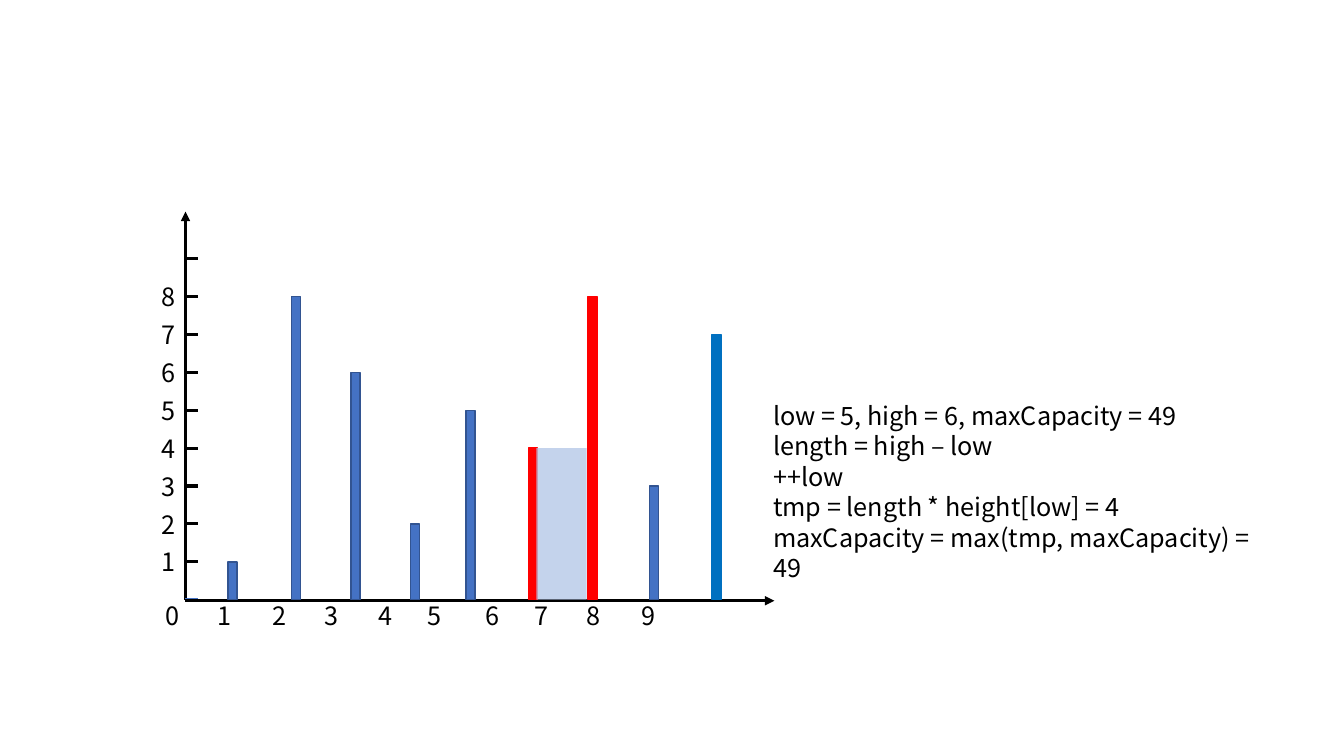
"""Build the two-pointer container slide: a hand-drawn bar diagram beside its trace."""
from lxml import etree
from pptx import Presentation
from pptx.dml.color import RGBColor
from pptx.enum import shapes, text
from pptx.oxml import ns
from pptx.util import Inches, Pt

BLACK = RGBColor(0x00, 0x00, 0x00)
BLUE = RGBColor(0x44, 0x72, 0xC4)
NAVY = RGBColor(0x32, 0x54, 0x91)
RED = RGBColor(0xFF, 0x00, 0x00)
BRIGHT = RGBColor(0x00, 0x70, 0xC0)
WATER = RGBColor(0xB4, 0xC7, 0xE7)
FONT = "Noto Sans CJK SC"

TRACE = [
    "low = 5, high = 6, maxCapacity = 49",
    "length = high – low",
    "++low",
    "tmp = length * height[low] = 4",
    "maxCapacity = max(tmp, maxCapacity) = 49",
]
BARS = [
    (2.26, 1, BLUE, NAVY),
    (2.89, 8, BLUE, NAVY),
    (3.48, 6, BLUE, NAVY),
    (4.07, 2, BLUE, NAVY),
    (4.62, 5, BLUE, NAVY),
    (5.24, 4, RED, RED),
    (5.83, 8, RED, RED),
    (6.44, 3, BLUE, NAVY),
    (7.06, 7, BRIGHT, BRIGHT),
]
INDEX_TABS = [0.52, 1.06, 1.58, 2.12, 2.6, 3.18, 3.66, 4.18, 4.72]
WATER_LEFT, WATER_WIDTH, WATER_LEVEL = 5.32, 0.5, 4
AXIS_X, BASE, UNIT = 1.84, 5.95, 0.376
BAR_WIDTH, TICK = 0.09, 0.12

deck = Presentation()
deck.slide_width, deck.slide_height = Inches(13.33), Inches(7.5)
slide = deck.slides.add_slide(deck.slide_layouts[6])


def level(value):
    return BASE - value * UNIT


def add_line(x1, y1, x2, y2, color=BLACK, arrow=False):
    line = slide.shapes.add_connector(
        shapes.MSO_CONNECTOR.STRAIGHT, Inches(x1), Inches(y1), Inches(x2), Inches(y2))
    line.line.color.rgb = color
    line.line.width = Pt(2.25)
    if arrow:
        etree.SubElement(line.line._get_or_add_ln(), ns.qn("a:tailEnd"), type="triangle")
    etree.SubElement(line._element.spPr, ns.qn("a:effectLst"))


def add_bar(left, width, value, fill, outline=None):
    bar = slide.shapes.add_shape(
        shapes.MSO_SHAPE.RECTANGLE, Inches(left), Inches(level(value)),
        Inches(width), Inches(value * UNIT))
    bar.shadow.inherit = False
    bar.fill.solid()
    bar.fill.fore_color.rgb = fill
    if outline is None:
        bar.line.fill.background()
    else:
        bar.line.color.rgb = outline
        bar.line.width = Pt(1)
    return bar


def add_text(left, top, width, height, lines):
    frame = slide.shapes.add_textbox(
        Inches(left), Inches(top), Inches(width), Inches(height)).text_frame
    frame.word_wrap = True
    frame.auto_size = text.MSO_AUTO_SIZE.NONE
    frame.text = "\n".join(lines)
    for paragraph in frame.paragraphs:
        paragraph.line_spacing = Pt(21.7)
        for run in paragraph.runs:
            run.font.name = FONT
            run.font.size = Pt(18)
            run.font.color.rgb = BLACK
    return frame


add_line(AXIS_X, BASE, AXIS_X, 2.1, arrow=True)
for value in range(10):
    add_line(AXIS_X, level(value), AXIS_X + TICK, level(value), BLACK if value else BLUE)
add_line(AXIS_X, BASE + 0.01, 7.68, BASE + 0.01, arrow=True)

indices = add_text(1.54, 5.91, 5.98, 0.4, ["\t".join(str(i) for i in range(10))])
tabs = etree.SubElement(indices.paragraphs[0]._p.get_or_add_pPr(), ns.qn("a:tabLst"))
for offset in INDEX_TABS:
    etree.SubElement(tabs, ns.qn("a:tab"), pos=str(Inches(offset)), algn="l")
for value in range(1, 9):
    add_text(1.5, level(value) - 0.2, 0.35, 0.4, [str(value)])

for left, value, fill, outline in BARS:
    add_bar(left, BAR_WIDTH, value, fill, outline)
water = add_bar(WATER_LEFT, WATER_WIDTH, WATER_LEVEL, WATER)
etree.SubElement(water.fill._xPr.find(".//" + ns.qn("a:srgbClr")), ns.qn("a:alpha"), val="78000")

add_text(7.57, 3.92, 4.97, 1.92, TRACE)

deck.save("out.pptx")
